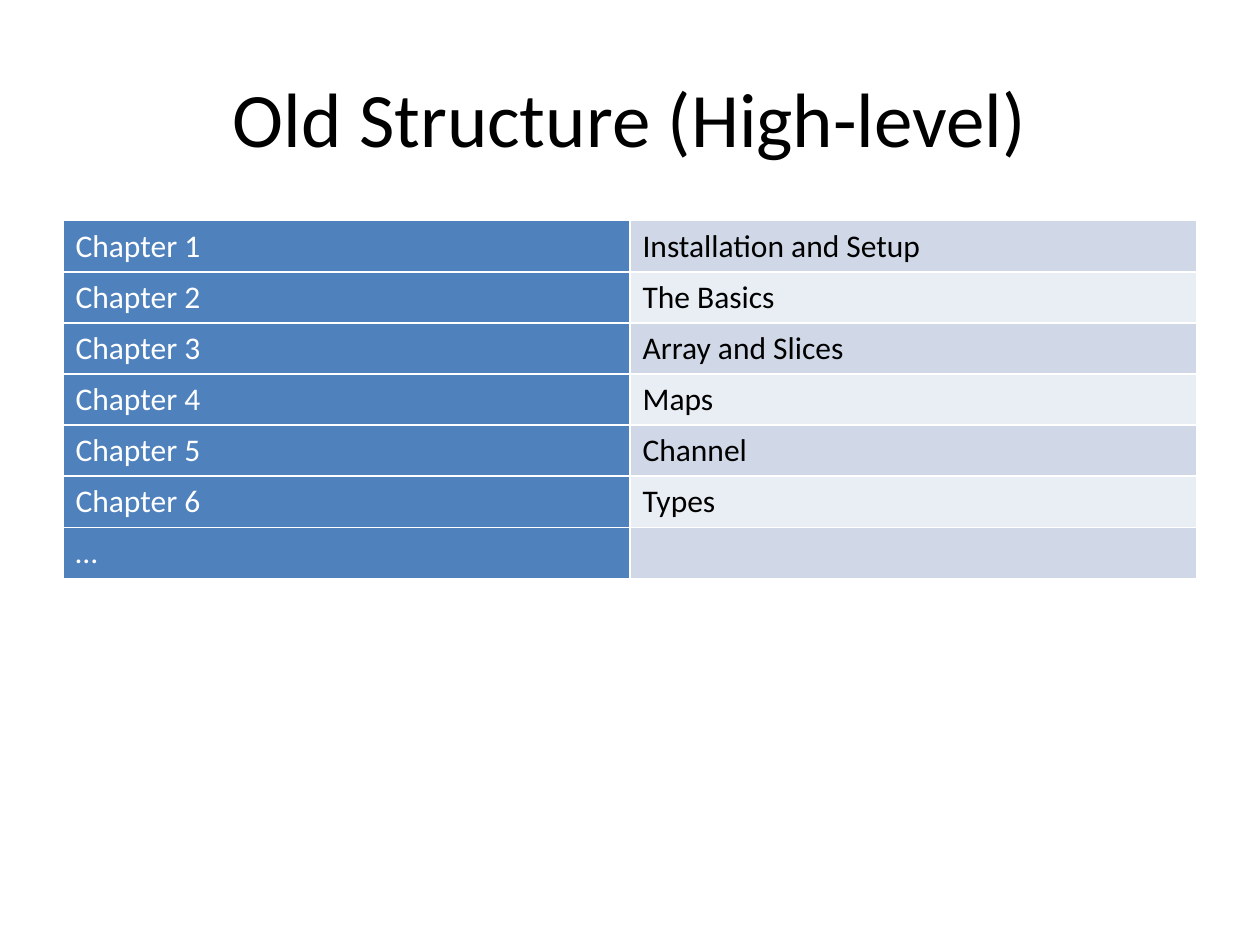
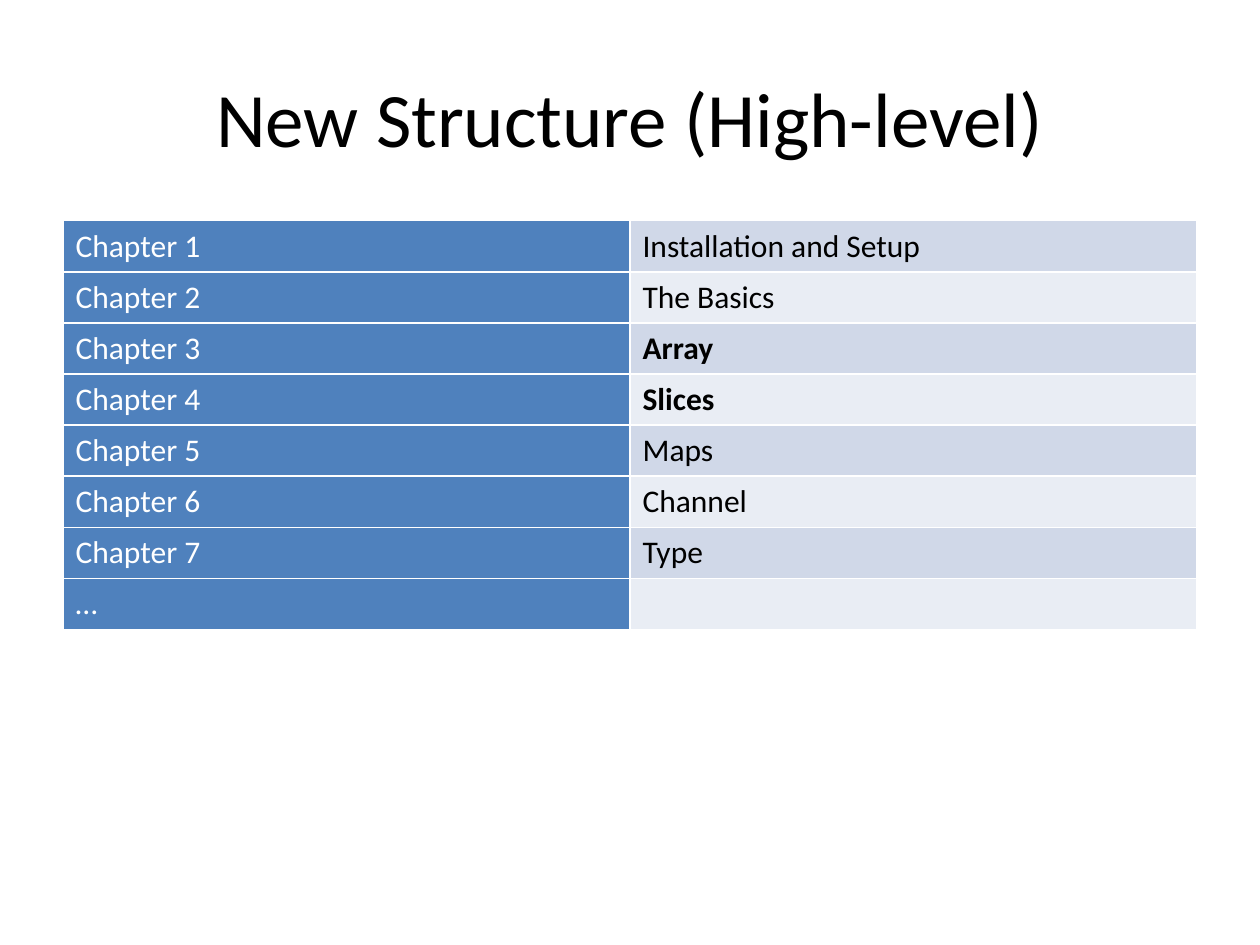
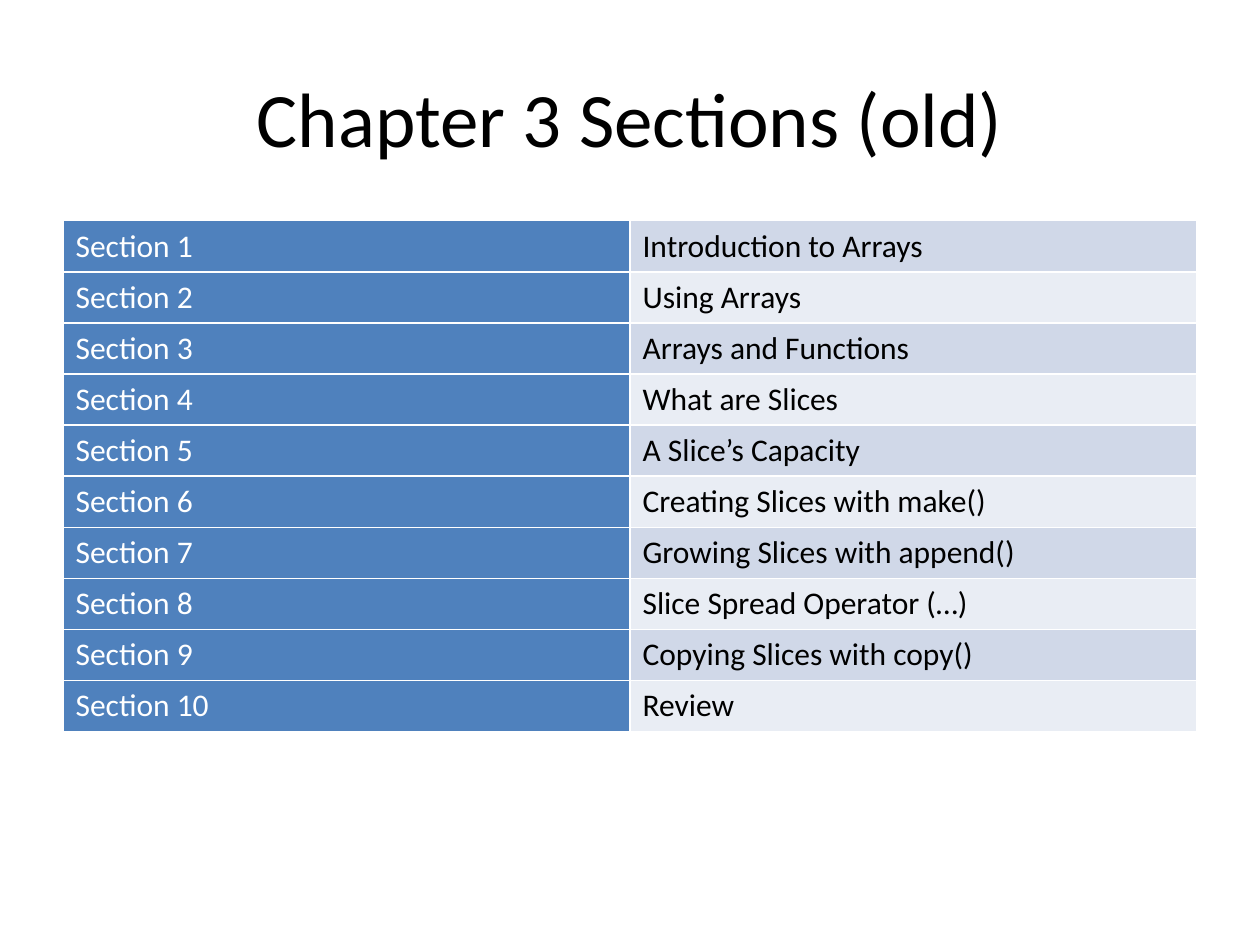
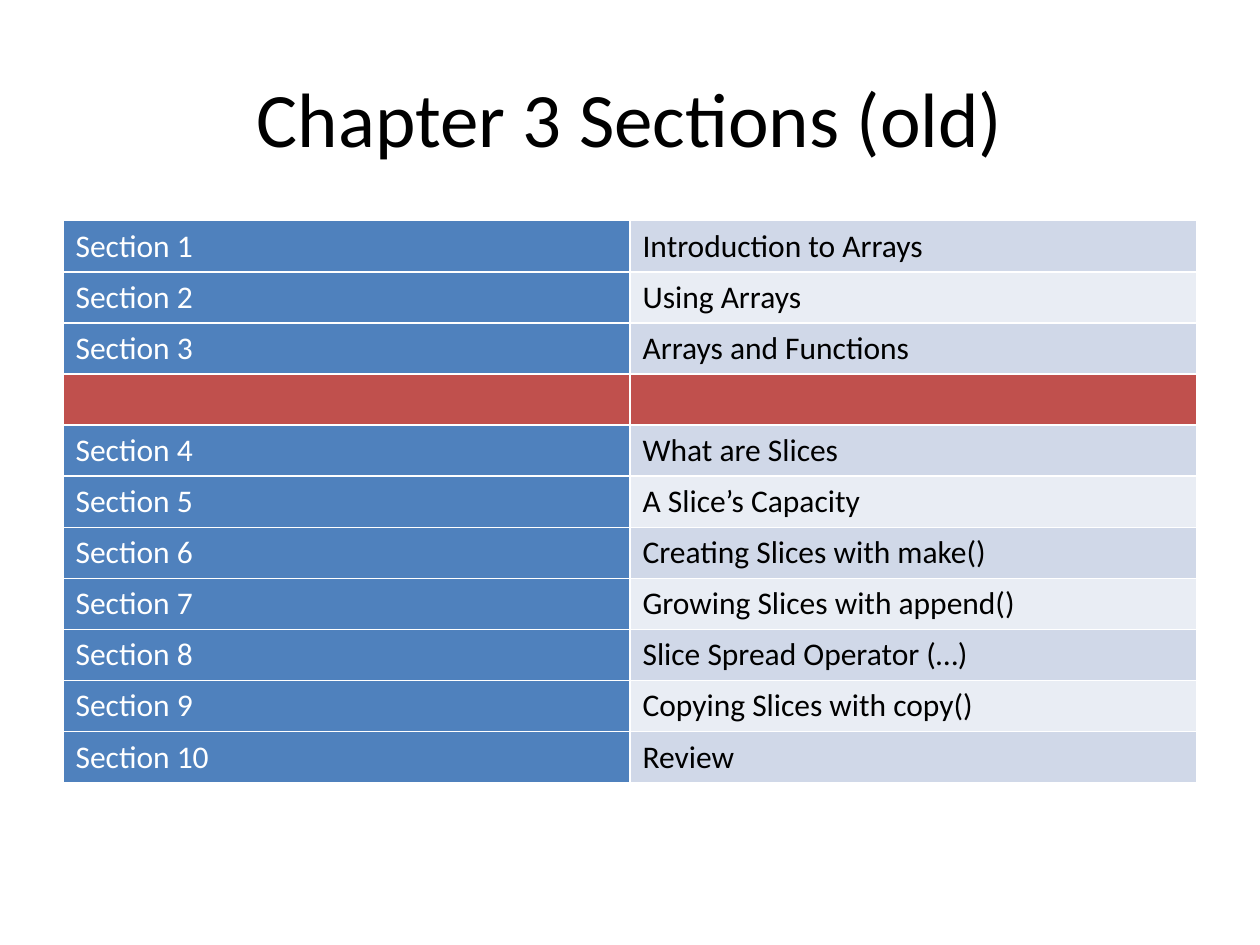
from lxml.etree import SubElement
from pptx import Presentation
from pptx.dml.color import RGBColor
from pptx.enum.text import MSO_ANCHOR as Anchor, PP_ALIGN as Align
from pptx.oxml.ns import qn
from pptx.util import Cm, Pt

WHITE = RGBColor(0xFF, 0xFF, 0xFF)
BLACK = RGBColor(0x00, 0x00, 0x00)
BLUE = RGBColor(0x4F, 0x81, 0xBD)
BANDS = [RGBColor(0xD0, 0xD8, 0xE8), RGBColor(0xE9, 0xED, 0xF4)]
RED = RGBColor(0xC0, 0x50, 0x4D)

FONT = "Calibri"
LEFT, WIDTH = Cm(1.27), Cm(22.86)
ROW_HEIGHT = Cm(1.03)
DIVIDER = ("", "")

old_chapters = ["Installation and Setup", "The Basics", "Array and Slices",
                "Maps", "Channel", "Types"]
new_chapters = ["Installation and Setup", "The Basics", "Array", "Slices",
                "Maps", "Channel", "Type"]
new_topics = ["Array", "Slices"]
sections = ["Introduction to Arrays", "Using Arrays", "Arrays and Functions",
            "What are Slices", "A Slice’s Capacity",
            "Creating Slices with make()", "Growing Slices with append()",
            "Slice Spread Operator (…)", "Copying Slices with copy()", "Review"]


def numbered(label, topics):
    """Pair each topic with its label and number."""
    return [(f"{label} {number}", topic) for number, topic in enumerate(topics, 1)]


def style_cell(cell, text, fill, color):
    """Write a cell with white borders, a solid fill and one font."""
    properties = cell._tc.get_or_add_tcPr()
    for side in ("a:lnL", "a:lnR", "a:lnT", "a:lnB"):
        line = SubElement(properties, qn(side), w=str(Pt(1)))
        SubElement(SubElement(line, qn("a:solidFill")), qn("a:srgbClr"), val=str(WHITE))
    cell.fill.solid()
    cell.fill.fore_color.rgb = fill
    cell.text = text
    para = cell.text_frame.paragraphs[0]
    para.font.name = FONT
    para.font.size = Pt(18)
    para.font.bold = text in new_topics
    para.font.color.rgb = color


more = [("…", "")]
section_rows = numbered("Section", sections)
pages = [
    ("Old Structure (High-level)", numbered("Chapter", old_chapters) + more),
    ("New Structure (High-level)", numbered("Chapter", new_chapters) + more),
    ("Chapter 3 Sections (old)", section_rows),
    ("Chapter 3 Sections (old)", section_rows[:3] + [DIVIDER] + section_rows[3:]),
]

deck = Presentation()
deck.slide_width, deck.slide_height = Cm(25.4), Cm(19.05)

for title, rows in pages:
    page = deck.slides.add_slide(deck.slide_layouts[6])

    box = page.shapes.add_textbox(LEFT, Cm(0.76), WIDTH, Cm(3.18))
    box.text_frame.word_wrap = True
    box.text_frame.vertical_anchor = Anchor.MIDDLE
    para = box.text_frame.paragraphs[0]
    para.text = title
    para.alignment = Align.CENTER
    para.font.name = FONT
    para.font.size = Pt(44)
    para.font.color.rgb = BLACK

    table = page.shapes.add_table(len(rows), 2, LEFT, Cm(4.45), WIDTH,
                                  ROW_HEIGHT * len(rows)).table
    table.first_row = False
    table.horz_banding = False
    for index, row in enumerate(rows):
        table.rows[index].height = ROW_HEIGHT
        fills = [RED, RED] if row == DIVIDER else [BLUE, BANDS[index % 2]]
        for column, color in enumerate([WHITE, BLACK]):
            style_cell(table.cell(index, column), row[column], fills[column], color)

deck.save("out.pptx")
